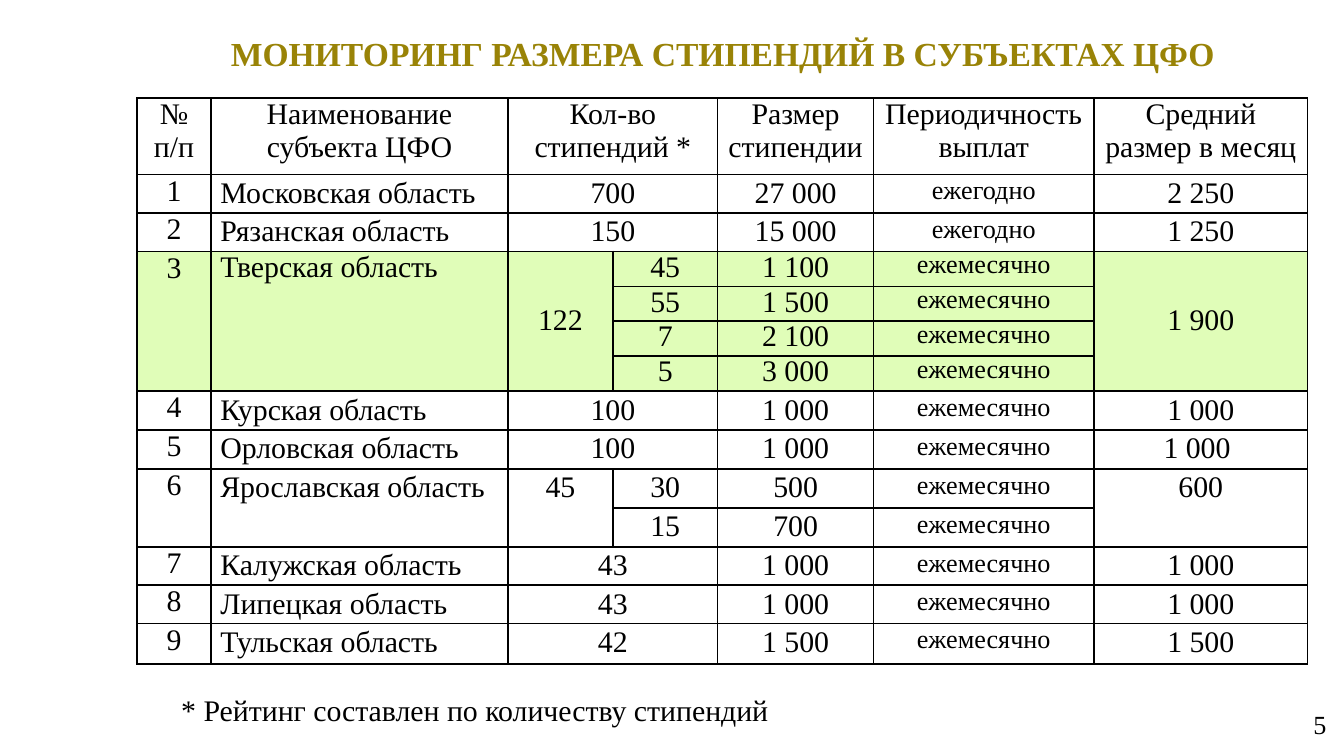
from lxml import etree
from pptx import Presentation
from pptx import util as u
from pptx.dml.color import RGBColor
from pptx.enum import text as t
from pptx.oxml.ns import qn

THEME = {
    "font": "Times New Roman",
    "ink": "000000", "title": "998307", "highlight": "E0FDB8",
    "title_size": 18, "body_size": 16, "small_size": 14,
    "border": 1, "loose": 1.07, "tight": 0.97, "inset": 0.07, "narrow_inset": 0.04,
}
LEFT, CENTER = t.PP_ALIGN.LEFT, t.PP_ALIGN.CENTER
MIDDLE = t.MSO_ANCHOR.MIDDLE

TITLE = "МОНИТОРИНГ РАЗМЕРА СТИПЕНДИЙ В СУБЪЕКТАХ ЦФО"
FOOTNOTE = "* Рейтинг составлен по количеству стипендий"
PAGE = "5"
HEADINGS = {
    0: "№ п/п", 1: "Наименование субъекта ЦФО", 2: "Кол-во стипендий *",
    4: "Размер стипендии", 5: "Периодичность выплат", 6: "Средний размер в месяц",
}
YEARLY, MONTHLY = "ежегодно", "ежемесячно"
# region, number of scholarships, [(number, amount)], frequency, monthly average
REGIONS = [
    ("Московская область", "700", [("", "27 000")], YEARLY, "2 250"),
    ("Рязанская область", "150", [("", "15 000")], YEARLY, "1 250"),
    ("Тверская область", "122",
     [("45", "1 100"), ("55", "1 500"), ("7", "2 100"), ("5", "3 000")], MONTHLY, "1 900"),
    ("Курская область", "100", [("", "1 000")], MONTHLY, "1 000"),
    ("Орловская область", "100", [("", "1 000")], MONTHLY, "1 000 "),
    ("Ярославская область", "45", [("30", "500"), ("15", "700")], MONTHLY, "600"),
    ("Калужская область", "43", [("", "1 000")], MONTHLY, "1 000"),
    ("Липецкая область", "43", [("", "1 000")], MONTHLY, "1 000"),
    ("Тульская область", "42", [("", "1 500")], MONTHLY, "1 500"),
]
HIGHLIGHTED = "Тверская область"
COLUMNS = [0.55, 2.21, 0.78, 0.78, 1.16, 1.64, 1.59]
ROWS = [0.57, 0.28, 0.28] + [0.26] * 4 + [0.29] * 4 + [0.28] * 2 + [0.3]


def write(frame, content, size=THEME["body_size"], color=THEME["ink"], bold=False,
          align=CENTER, spacing=None):
    frame.word_wrap = True
    line = frame.paragraphs[0]
    line.alignment = align
    if spacing:
        line.line_spacing = spacing
    run = line.add_run()
    run.text = content
    run.font.name, run.font.size, run.font.bold = THEME["font"], u.Pt(size), bold
    run.font.color.rgb = RGBColor.from_string(color)


def add_label(slide, area, content, anchor=t.MSO_ANCHOR.TOP, inset=(0.07, 0.04), **style):
    frame = slide.shapes.add_textbox(*map(u.Inches, area)).text_frame
    frame.margin_left = frame.margin_right = u.Inches(inset[0])
    frame.margin_top = frame.margin_bottom = u.Inches(inset[1])
    frame.vertical_anchor = anchor
    write(frame, content, **style)


def format_cell(cell, fill, inset):
    cell.margin_left = cell.margin_right = u.Inches(inset)
    cell.margin_top = cell.margin_bottom = 0
    if fill:
        cell.fill.solid()
        cell.fill.fore_color.rgb = RGBColor.from_string(fill)
    else:
        cell.fill.background()
    properties = cell._tc.get_or_add_tcPr()
    for place, side in enumerate(("a:lnL", "a:lnR", "a:lnT", "a:lnB")):
        border = etree.Element(qn(side), w=str(u.Pt(THEME["border"])))
        paint = etree.SubElement(border, qn("a:solidFill"))
        etree.SubElement(paint, qn("a:srgbClr"), val=THEME["ink"])
        properties.insert(place, border)


def fill_region(table, top, number, region):
    """Write one region's rows and return the row after them."""
    name, total, payments, frequency, average = region
    last = top + len(payments) - 1
    highlighted = name == HIGHLIGHTED
    spacing = THEME["tight"] if highlighted else THEME["loose"]
    if last > top:
        for column in (0, 1, 2, 6):
            table.cell(top, column).merge(table.cell(last, column))
    else:
        table.cell(top, 2).merge(table.cell(top, 3))

    write(table.cell(top, 0).text_frame, str(number))
    write(table.cell(top, 1).text_frame, name, align=LEFT, spacing=spacing)
    for column, value in ((2, total), (6, average)):
        cell = table.cell(top, column)
        write(cell.text_frame, value, spacing=spacing)
        if highlighted:
            cell.vertical_anchor = MIDDLE
    for row, (count, amount) in enumerate(payments, top):
        if count:
            write(table.cell(row, 3).text_frame, count, spacing=spacing)
        write(table.cell(row, 4).text_frame, amount, spacing=spacing)
        write(table.cell(row, 5).text_frame, frequency,
              size=THEME["small_size"], spacing=spacing)
        for column in range(len(COLUMNS)):
            format_cell(table.cell(row, column), THEME["highlight"] if highlighted else None,
                        THEME["inset"] if column else THEME["narrow_inset"])
    return last + 1


def add_ranking(slide):
    area = map(u.Inches, (1.02, 0.73, sum(COLUMNS), sum(ROWS)))
    table = slide.shapes.add_table(len(ROWS), len(COLUMNS), *area).table
    table.first_row = table.horz_banding = False
    for column, width in zip(table.columns, COLUMNS):
        column.width = u.Inches(width)
    for row, height in zip(table.rows, ROWS):
        row.height = u.Inches(height)

    table.cell(0, 2).merge(table.cell(0, 3))
    for column in range(len(COLUMNS)):
        format_cell(table.cell(0, column), None,
                    THEME["inset"] if column else THEME["narrow_inset"])
    for column, heading in HEADINGS.items():
        write(table.cell(0, column).text_frame, heading)
    top = 1
    for number, region in enumerate(REGIONS, 1):
        top = fill_region(table, top, number, region)


def main():
    deck = Presentation()
    deck.slide_width = u.Inches(10)
    deck.slide_height = deck.slide_width * 9 // 16
    slide = deck.slides.add_slide(deck.slide_layouts[6])
    add_label(slide, (9.61, 5.23, 0.33, 0.39), PAGE,
              size=THEME["small_size"], align=t.PP_ALIGN.RIGHT)
    add_label(slide, (1.14, 0.19, 8.48, 0.41), TITLE, anchor=MIDDLE,
              size=THEME["title_size"], color=THEME["title"], bold=True)
    add_ranking(slide)
    add_label(slide, (1.25, 5.13, 8.05, 0.48), FOOTNOTE, inset=(0.1, 0.05),
              align=LEFT, spacing=0.9)
    deck.save("out.pptx")


if __name__ == "__main__":
    main()
